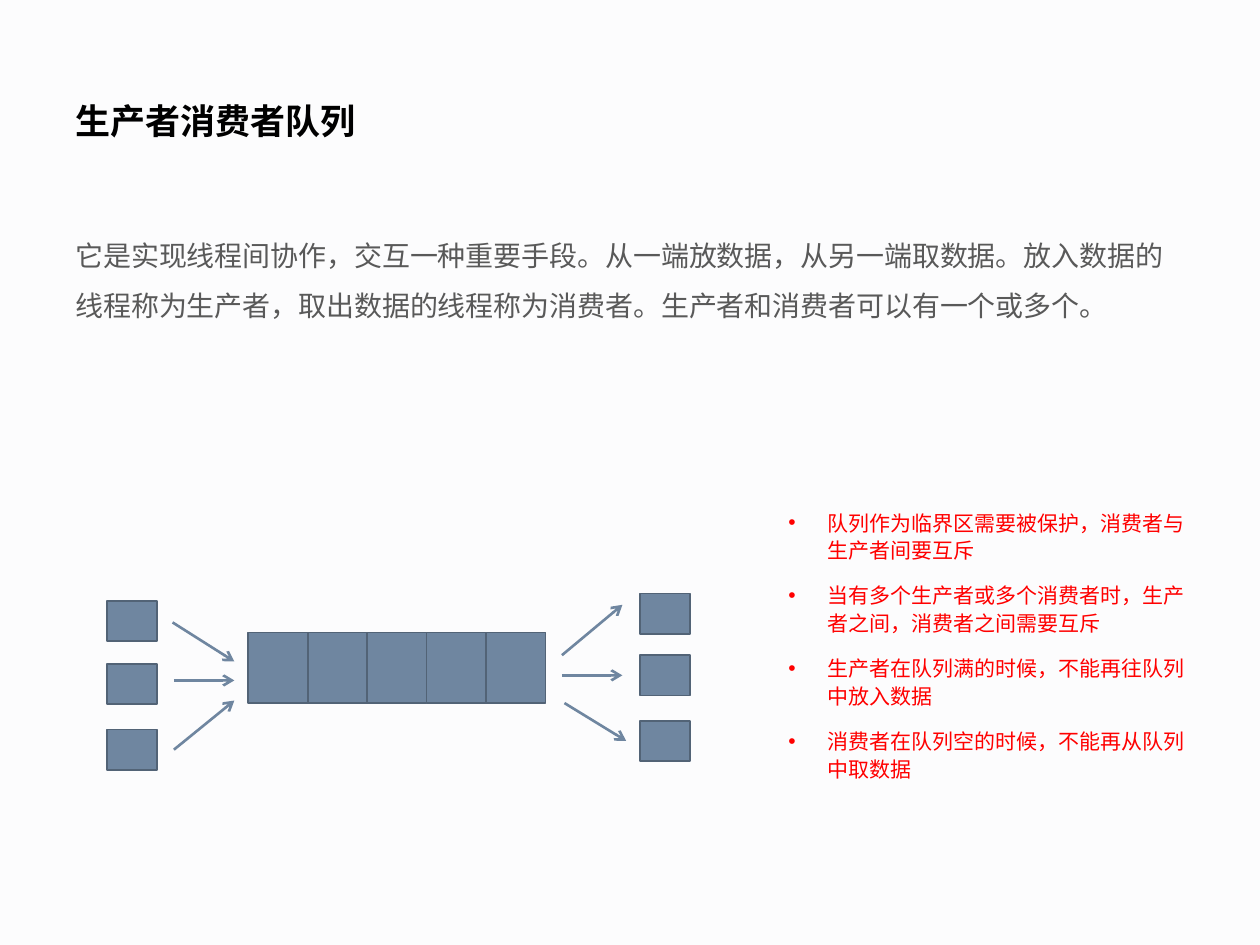
import dataclasses

import pptx
import pptx.dml.color
import pptx.enum.shapes
import pptx.enum.text
import pptx.oxml
import pptx.oxml.ns
import pptx.util

COLORS = {"background": "FCFCFD", "title": "000000", "body": "595959",
          "warning": "FF0000", "box": "6F86A0", "outline": "526376"}
CELL = 0.1  # grid of 100 columns by 75 rows, in inches
COLUMNS, ROWS = 100, 75
QUEUE_CELLS = 5
SLOT_W, SLOT_H = 4.72, 5.6
THREAD_W, THREAD_H = 3.95, 3.2


@dataclasses.dataclass
class ThreadGroup:
    """Boxes of one side, and the arrows (from column, row, to column, row)."""
    column: float
    rows: tuple[float, ...]
    arrows: tuple[tuple[float, float, float, float], ...]


@dataclasses.dataclass
class TextStyle:
    size: float
    color: str
    font: str = "Arial"
    bold: bool = False
    spacing: float = 1.0
    after: float = 10
    bullet: bool = False


PRODUCERS = ThreadGroup(8.5, (47.7, 52.7, 57.9), (
    (13.7, 49.4, 18.6, 52.5), (13.8, 54, 18.6, 54), (13.8, 59.5, 18.6, 55.6)))
CONSUMERS = ThreadGroup(50.8, (47.1, 52, 57.2), (
    (44.6, 52, 49.4, 48), (44.6, 53.6, 49.4, 53.6), (44.8, 55.8, 49.7, 58.8)))

TITLE = "生产者消费者队列"
INTRO = ("它是实现线程间协作，交互一种重要手段。从一端放数据，从另一端取数据。"
         "放入数据的线程称为生产者，取出数据的线程称为消费者。"
         "生产者和消费者可以有一个或多个。")
RULES = ("队列作为临界区需要被保护，消费者与生产者间要互斥",
         "当有多个生产者或多个消费者时，生产者之间，消费者之间需要互斥",
         "生产者在队列满的时候，不能再往队列中放入数据",
         "消费者在队列空的时候，不能再从队列中取数据")


def grid(*cells: float) -> list[int]:
    return [pptx.util.Inches(cell * CELL) for cell in cells]


def rgb(name: str) -> pptx.dml.color.RGBColor:
    return pptx.dml.color.RGBColor.from_string(COLORS[name])


def add_xml(parent, tag: str, **attributes: str) -> None:
    child = pptx.oxml.parse_xml(f"<a:{tag} {pptx.oxml.ns.nsdecls('a')}/>")
    for key, value in attributes.items():
        child.set(key, value)
    parent.append(child)


def write(tf, texts: tuple[str, ...], style: TextStyle) -> None:
    frame = {"word_wrap": True, "auto_size": pptx.enum.text.MSO_AUTO_SIZE.NONE,
             "vertical_anchor": pptx.enum.text.MSO_ANCHOR.TOP}
    for key, value in frame.items():
        setattr(tf, key, value)
    paragraph = {"alignment": pptx.enum.text.PP_ALIGN.LEFT,
                 "line_spacing": style.spacing,
                 "space_after": pptx.util.Pt(style.after)}
    font = {"name": style.font, "size": pptx.util.Pt(style.size), "bold": style.bold}
    for i, text in enumerate(texts):
        p = tf.paragraphs[0] if i == 0 else tf.add_paragraph()
        for key, value in paragraph.items():
            setattr(p, key, value)
        if style.bullet:
            pPr = p._p.get_or_add_pPr()
            indent = pptx.util.Inches(0.31)
            pPr.set("marL", str(indent))
            pPr.set("indent", str(-indent))
            add_xml(pPr, "buFont", typeface="Arial")
            add_xml(pPr, "buChar", char="•")
        r = p.add_run()
        r.text = text
        for key, value in font.items():
            setattr(r.font, key, value)
        r.font.color.rgb = rgb(style.color)


def add_box(s, column: float, row: float, width: float, height: float) -> None:
    sp = s.shapes.add_shape(pptx.enum.shapes.MSO_SHAPE.RECTANGLE,
                            *grid(column, row, width, height))
    sp.shadow.inherit = False
    sp.fill.solid()
    sp.fill.fore_color.rgb = rgb("box")
    sp.line.color.rgb = rgb("outline")
    sp.line.width = pptx.util.Pt(1)


def add_arrow(s, ends: tuple[float, float, float, float]) -> None:
    line = s.shapes.add_connector(pptx.enum.shapes.MSO_CONNECTOR.STRAIGHT, *grid(*ends))
    line.line.color.rgb = rgb("box")
    line.line.width = pptx.util.Pt(1.5)
    add_xml(line.line._get_or_add_ln(), "tailEnd", type="arrow")
    add_xml(line._element.spPr, "effectLst")


def add_threads(s, group: ThreadGroup) -> None:
    for row in group.rows:
        add_box(s, group.column, row, THREAD_W, THREAD_H)
    for ends in group.arrows:
        add_arrow(s, ends)


def main() -> None:
    prs = pptx.Presentation()
    prs.slide_width, prs.slide_height = grid(COLUMNS, ROWS)
    s = prs.slides.add_slide(prs.slide_layouts[5])
    s.background.fill.solid()
    s.background.fill.fore_color.rgb = rgb("background")

    # Title
    title = s.shapes.title
    title.left, title.top, title.width, title.height = grid(5, 7.4, 90.6, 5)
    write(title.text_frame, (TITLE,),
          TextStyle(20, "title", font="Noto Sans CJK SC", bold=True))

    # Introduction
    intro = s.shapes.add_textbox(*grid(5, 17.1, 90.6, 10))
    write(intro.text_frame, (INTRO,), TextStyle(16, "body", spacing=1.5))

    # Queue between producers and consumers
    for i in range(QUEUE_CELLS):
        add_box(s, 19.7 + i * SLOT_W, 50.2, SLOT_W, SLOT_H)
    for group in (PRODUCERS, CONSUMERS):
        add_threads(s, group)

    # Synchronisation rules
    rules = s.shapes.add_textbox(*grid(61.6, 39.8, 34, 26.4))
    write(rules.text_frame, RULES,
          TextStyle(12, "warning", spacing=1.1, bullet=True))

    prs.save("out.pptx")


if __name__ == "__main__":
    main()
